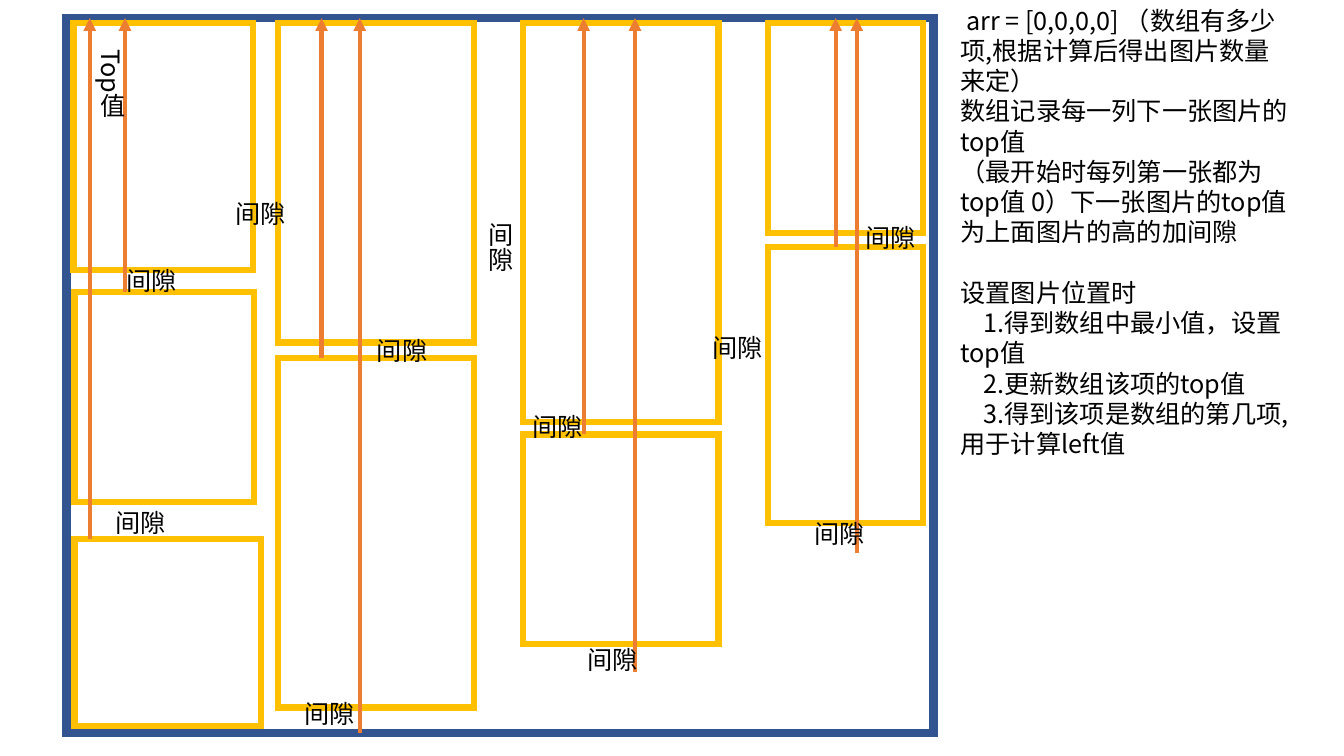
from lxml import etree
from pptx import Presentation
from pptx import util as u
from pptx.dml.color import RGBColor
from pptx.enum import shapes, text
from pptx.oxml.ns import qn

BLUE = RGBColor(0x32, 0x54, 0x91)
GOLD = RGBColor(0xFF, 0xC0, 0x00)
ORANGE = RGBColor(0xED, 0x7D, 0x31)
BLACK = RGBColor(0, 0, 0)

ARROW_TOP = 13
GAP = "间隙"

# Each column: its cards (left, top, width, height) and arrows (x, bottom)
COLUMNS = [
    ([(52.6, 16.6, 128.2, 176.4), (53.3, 208.8, 128.2, 149.8),
      (53.3, 385.2, 133.2, 133.2)],
     [(64.1, 385.2), (89.3, 208.8)]),
    ([(198.7, 16.6, 139.7, 228.2), (198.7, 255.6, 139.7, 249.8)],
     [(229.7, 255.6), (257, 523.4)]),
    ([(373.7, 16.6, 139.7, 285.1), (373.7, 310.3, 139.7, 149.8)],
     [(416.9, 310.3), (453.6, 480.2)]),
    ([(548.6, 16.6, 110.9, 149.8), (548.6, 176.4, 110.9, 197.3)],
     [(596.9, 176.4), (612, 395.3)]),
]

GAP_LABELS = [  # left, top
    (75.6, 358.6), (262.1, 236.2), (210.2, 495.4), (373, 290.2),
    (412.6, 456.5), (611.3, 155.5), (574.6, 366.5), (83.5, 185.8),
    (161.3, 138.2), (501.8, 234),
]

NOTES = [  # text, first-line indent, space before
    (" arr = [0,0,0,0] （数组有多少项,根据计算后得出图片数量来定）", 0, 0),
    ("数组记录每一列下一张图片的top值", 0, 0),
    ("（最开始时每列第一张都为top值 0）下一张图片的top值为上面图片的高的加间隙", 0, 0),
    ("设置图片位置时", 0, 21.6),
    ("1.得到数组中最小值，设置top值", 16.2, 0),
    ("2.更新数组该项的top值", 16.2, 0),
    ("3.得到该项是数组的第几项,用于计算left值", 16.2, 0),
]


class Sketch:
    font = "Noto Sans CJK SC"
    size = 18

    def __init__(self, slide):
        self.s = slide

    def box(self, left, top, width, height, color, weight):
        sp = self.s.shapes.add_shape(
            shapes.MSO_SHAPE.RECTANGLE,
            u.Pt(left), u.Pt(top), u.Pt(width), u.Pt(height))
        sp.shadow.inherit = False
        sp.fill.background()
        sp.line.color.rgb = color
        sp.line.width = u.Pt(weight)
        etree.SubElement(sp.line._get_or_add_ln(), qn("a:miter"), lim="800000")

    def arrow(self, x, bottom, top):
        c = self.s.shapes.add_connector(
            shapes.MSO_CONNECTOR.STRAIGHT,
            u.Pt(x), u.Pt(bottom), u.Pt(x), u.Pt(top))
        c.line.color.rgb = ORANGE
        c.line.width = u.Pt(3)
        etree.SubElement(c.line._get_or_add_ln(), qn("a:tailEnd"), type="triangle")
        etree.SubElement(c._element.spPr, qn("a:effectLst"))

    def text(self, left, top, width, height, paragraphs, vertical=False):
        sp = self.s.shapes.add_textbox(
            u.Pt(left), u.Pt(top), u.Pt(width), u.Pt(height))
        tf = sp.text_frame
        tf.word_wrap = True
        tf.auto_size = text.MSO_AUTO_SIZE.SHAPE_TO_FIT_TEXT
        if vertical:
            tf._txBody.bodyPr.set("vert", "eaVert")
        for i, (words, indent, before) in enumerate(paragraphs):
            p = tf.add_paragraph() if i else tf.paragraphs[0]
            if before:
                p.space_before = u.Pt(before)
            if indent:
                p._p.get_or_add_pPr().set("indent", str(u.Pt(indent)))
            r = p.add_run()
            r.text = words
            r.font.size = u.Pt(self.size)
            r.font.color.rgb = BLACK
            r.font.name = self.font
            etree.SubElement(r._r.get_or_add_rPr(), qn("a:ea"), typeface=self.font)

    def label(self, left, top, words, width=67.7, height=28.8, vertical=False):
        self.text(left, top, width, height, [(words, 0, 0)], vertical)


def main():
    prs = Presentation()
    prs.slide_width, prs.slide_height = u.Pt(960), u.Pt(540)
    sketch = Sketch(prs.slides.add_slide(prs.slide_layouts[6]))

    # Container and image cards
    sketch.box(47.5, 13, 619.2, 510.5, BLUE, 6)
    for cards, _ in COLUMNS:
        for card in cards:
            sketch.box(*card, GOLD, 4.5)

    # Arrows showing the top values
    for _, arrows in COLUMNS:
        for x, bottom in arrows:
            sketch.arrow(x, bottom, ARROW_TOP)

    # Labels
    for left, top in GAP_LABELS:
        sketch.label(left, top, GAP)
    sketch.label(335.5, 151.9, GAP, 36, 129.6, vertical=True)
    sketch.label(58.3, 28.1, "Top值", 36, 138.2, vertical=True)

    # Explanation
    sketch.text(679, 0, 250.6, 334.1, NOTES)

    prs.save("out.pptx")


if __name__ == "__main__":
    main()
